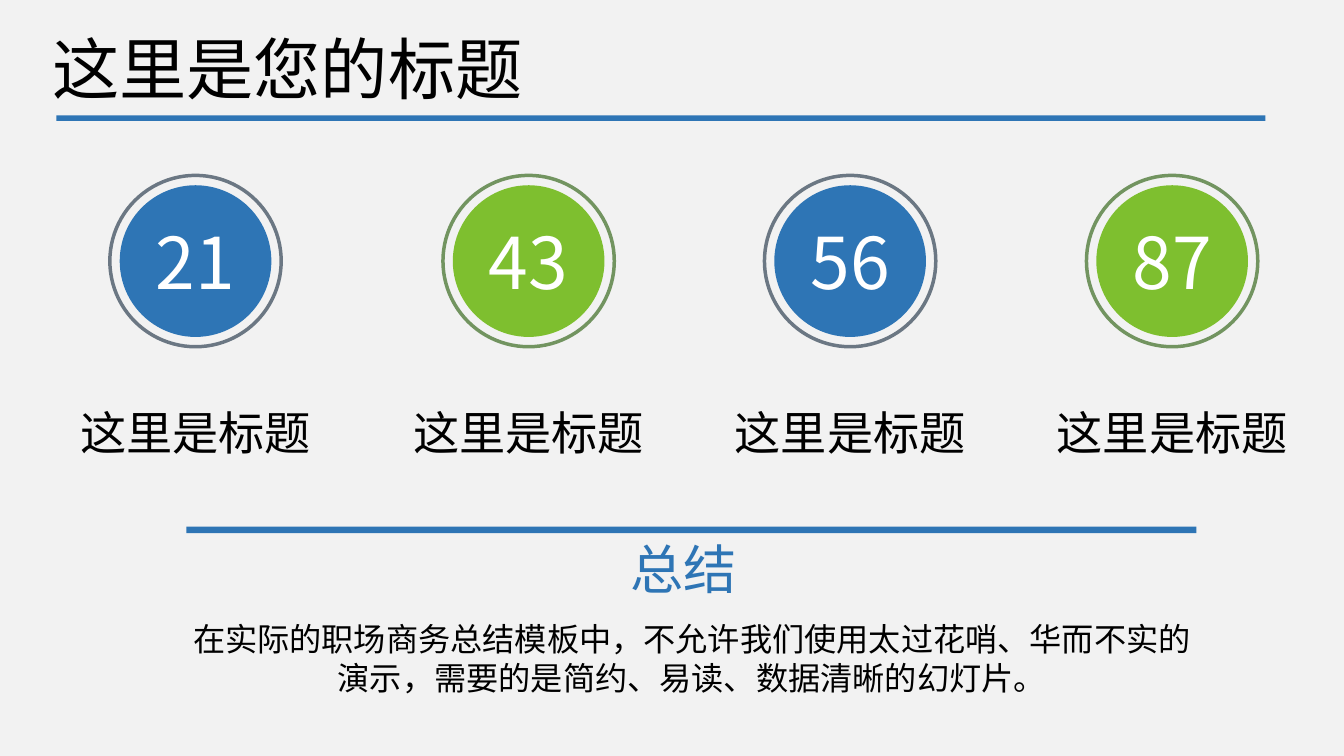
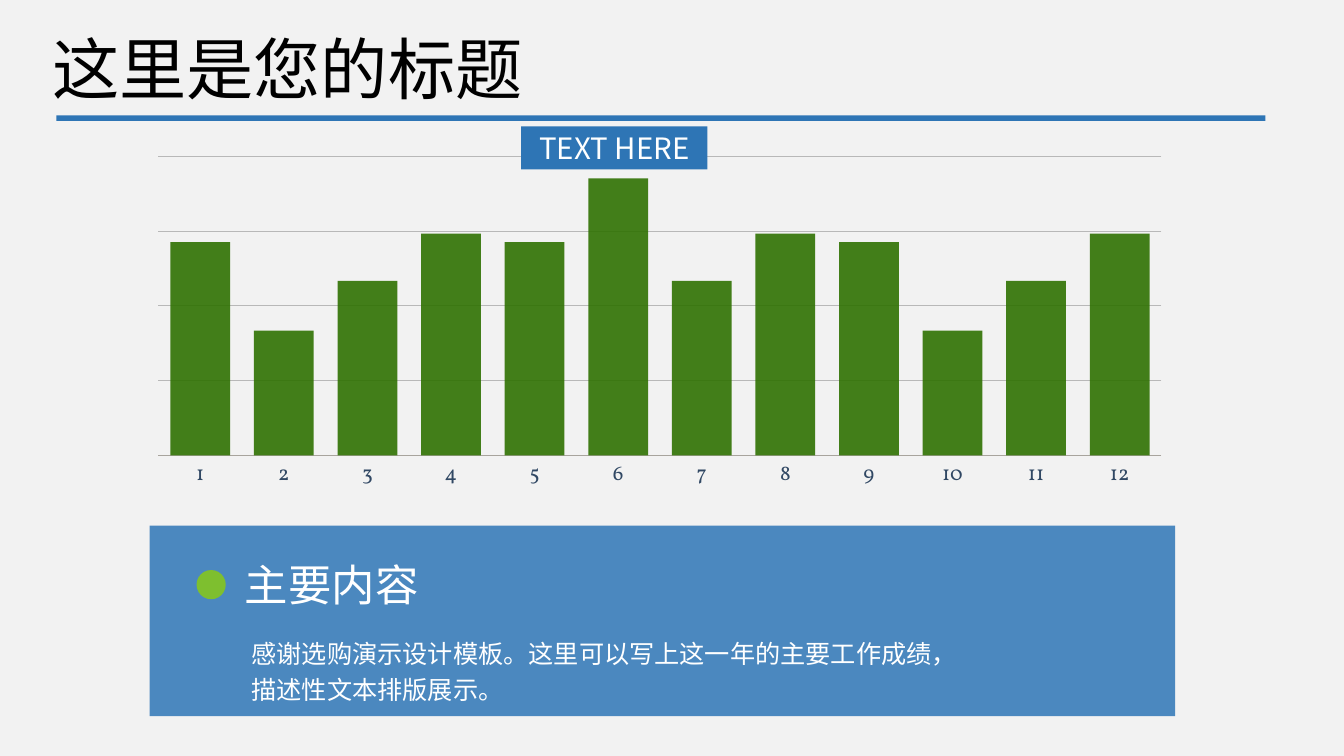
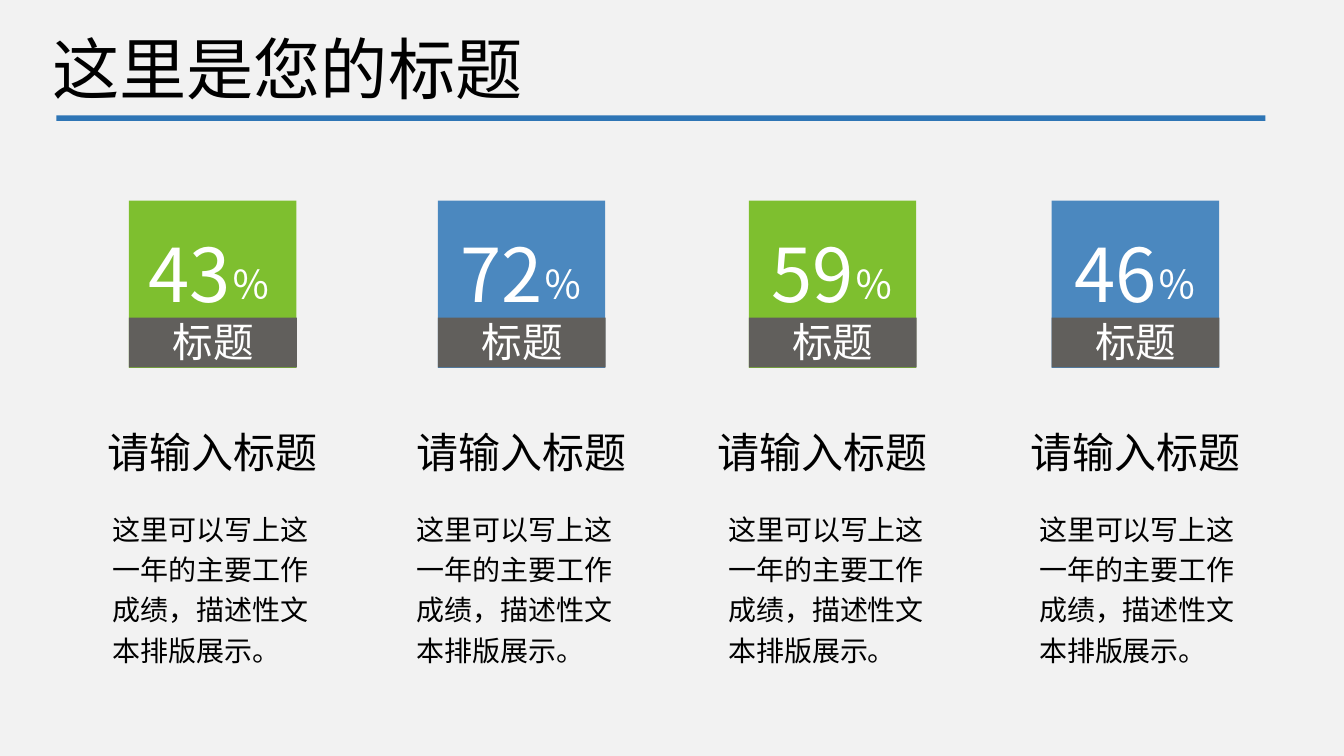
import pptx
import pptx.chart.data
import pptx.dml.color
import pptx.enum.chart
import pptx.enum.shapes
import pptx.enum.text
import pptx.oxml
import pptx.oxml.ns
import pptx.util
from lxml import etree

Inches = pptx.util.Inches
Pt = pptx.util.Pt
SHAPE = pptx.enum.shapes.MSO_SHAPE
ALIGN = pptx.enum.text.PP_ALIGN
qn = pptx.oxml.ns.qn


# Theme
class Theme:
    font, chart_font, axis_font = "Noto Sans CJK SC", "Lato", "Vollkorn"
    paper, ink, white = "F2F2F2", "000000", "FFFFFF"
    blue, soft_blue, green, gray = "2E75B5", "4B88BF", "7EBF2F", "615F5C"
    blue_ring, green_ring = "6B7783", "729460"
    bar, chart_text, axis_text = "2F7202", "324863", "314864"
    axis_line, grid_line = "A8A49D", "B8B8B8"
    title, percent, figure, summary = 96, 106, 102, 76
    caption, heading, entry, band, unit = 66, 62, 60, 58, 56
    note, tag, small_note, detail, axis, chart = 46, 42, 36, 40, 30, 10


# Content
TITLE = "这里是您的标题"

FIGURE_CAPTION = "这里是标题"
FIGURES = [  # number, centre, disc colour, ring colour
    ("21", 3.88, Theme.blue, Theme.blue_ring),
    ("43", 10.49, Theme.green, Theme.green_ring),
    ("56", 16.87, Theme.blue, Theme.blue_ring),
    ("87", 23.26, Theme.green, Theme.green_ring),
]
SUMMARY = "总结"
SUMMARY_NOTE = ("在实际的职场商务总结模板中，不允许我们使用太过花哨、华而不实的"
                "演示，需要的是简约、易读、数据清晰的幻灯片。")

MONTHLY = [77, 45, 63, 80, 77, 100, 63, 80, 77, 45, 63, 80]
PEAK_TAG = "TEXT HERE"
MAIN_HEADING = "主要内容"
MAIN_NOTE = "感谢选购演示设计模板。这里可以写上这一年的主要工作成绩，描述性文本排版展示。"

TILE_BAND = "标题"
TILE_HEADING = "请输入标题"
TILE_DETAIL = "这里可以写上这一年的主要工作成绩，描述性文本排版展示。"
TILES = [  # share, colour, then left edges of tile, number, heading, detail
    ("43", Theme.green, 2.56, 2.88, 2.06, 2.17),
    ("72", Theme.soft_blue, 8.69, 9.08, 8.19, 8.20),
    ("59", Theme.green, 14.86, 15.24, 14.16, 14.39),
    ("46", Theme.soft_blue, 20.87, 21.26, 20.37, 20.56),
]


# Helpers
def rgb(code):
    return pptx.dml.color.RGBColor.from_string(code)


def put_shape(slide, box, kind=SHAPE.RECTANGLE, fill=None, line=None, width=5):
    shape = slide.shapes.add_shape(kind, *map(Inches, box))
    shape.shadow.inherit = False
    if fill:
        shape.fill.solid()
        shape.fill.fore_color.rgb = rgb(fill)
    else:
        shape.fill.background()
    if line:
        shape.line.color.rgb = rgb(line)
        shape.line.width = Pt(width)
    else:
        shape.line.fill.background()
    return shape


def put_text(slide, text, box, size, color=Theme.ink, align=ALIGN.CENTER,
             wrap=False, spacing=None, inset=0.06, holder=None):
    if holder is None:
        holder = slide.shapes.add_textbox(*map(Inches, box))
    else:
        holder.left, holder.top, holder.width, holder.height = map(Inches, box)
    frame = holder.text_frame
    frame.word_wrap = wrap
    frame.auto_size = pptx.enum.text.MSO_AUTO_SIZE.SHAPE_TO_FIT_TEXT
    frame.vertical_anchor = pptx.enum.text.MSO_ANCHOR.MIDDLE
    frame.margin_left = frame.margin_right = Inches(inset)
    frame.margin_top = frame.margin_bottom = Inches(inset)
    paragraph = frame.paragraphs[0]
    paragraph.alignment = align
    if spacing:
        paragraph.line_spacing = spacing
    run = paragraph.add_run()
    run.text = text
    run.font.size = Pt(size)
    run.font.color.rgb = rgb(color)
    run.font.name = Theme.font
    east_asian = etree.SubElement(run.font._element, qn("a:ea"))
    east_asian.set("typeface", Theme.font)


def new_slide(prs):
    slide = prs.slides.add_slide(prs.slide_layouts[5])
    put_text(slide, TITLE, (0.97, 0.62, 9.46, 1.45), Theme.title,
             holder=slide.shapes.title)
    put_shape(slide, (1.12, 2.29, 23.99, 0.11), fill=Theme.blue)
    return slide


def style_axis(axis):
    axis.major_tick_mark = pptx.enum.chart.XL_TICK_MARK.NONE
    axis.minor_tick_mark = pptx.enum.chart.XL_TICK_MARK.NONE
    font = axis.tick_labels.font
    font.size, font.name = Pt(Theme.axis), Theme.axis_font
    font.color.rgb = rgb(Theme.axis_text)


def place_plot(chart, x, y, w, h):
    area = chart._chartSpace.find(".//" + qn("c:plotArea"))
    for old in area.findall(qn("c:layout")):
        area.remove(old)
    layout = etree.Element(qn("c:layout"))
    manual = etree.SubElement(layout, qn("c:manualLayout"))
    settings = [("layoutTarget", "inner"), ("xMode", "edge"), ("yMode", "edge"),
                ("x", x), ("y", y), ("w", w), ("h", h)]
    for tag, value in settings:
        etree.SubElement(manual, qn("c:" + tag)).set("val", str(value))
    area.insert(0, layout)


# Slide 1: four figures and a summary
def figures_slide(prs):
    slide = new_slide(prs)
    for number, centre, disc, ring in FIGURES:
        for size, look in ((3.01, {"fill": disc}), (3.4, {"line": ring})):
            put_shape(slide, (centre - size / 2, 5.18 - size / 2, size, size),
                      SHAPE.OVAL, **look)
        put_text(slide, number, (centre - 1, 4.41, 2, 1.53),
                 Theme.figure, color=Theme.white)
        put_text(slide, FIGURE_CAPTION, (centre - 2.47, 7.59, 4.94, 1.97),
                 Theme.caption)
    put_shape(slide, (3.7, 10.45, 20.04, 0.13), fill=Theme.blue)
    put_text(slide, SUMMARY, (12.45, 10.7, 2.24, 1.16), Theme.summary,
             color=Theme.blue)
    put_text(slide, SUMMARY_NOTE, (3.72, 12.36, 20.01, 1.4), Theme.note, wrap=True)


# Slide 2: monthly columns with a main point
def add_monthly_chart(slide):
    data = pptx.chart.data.CategoryChartData()
    data.categories = [str(month) for month in range(1, len(MONTHLY) + 1)]
    data.add_series("Series 1", MONTHLY)
    chart = slide.shapes.add_chart(
        pptx.enum.chart.XL_CHART_TYPE.COLUMN_CLUSTERED,
        *map(Inches, (2.84, 2.54, 20.31, 7.35)), data).chart
    chart.has_legend = chart.has_title = False
    chart.font.size, chart.font.name = Pt(Theme.chart), Theme.chart_font
    chart.font.color.rgb = rgb(Theme.chart_text)

    months, values = chart.category_axis, chart.value_axis
    style_axis(months)
    months.tick_label_position = pptx.enum.chart.XL_TICK_LABEL_POSITION.LOW
    months.format.line.color.rgb = rgb(Theme.axis_line)
    months.format.line.width = Pt(1)
    style_axis(values)
    values.tick_label_position = pptx.enum.chart.XL_TICK_LABEL_POSITION.NONE
    values.tick_labels.number_format = "0.#"
    values.tick_labels.number_format_is_linked = False
    values.minimum_scale, values.maximum_scale, values.major_unit = 0, 108, 27
    values.format.line.fill.background()
    values.has_major_gridlines = True
    values.major_gridlines.format.line.color.rgb = rgb(Theme.grid_line)
    values.major_gridlines.format.line.width = Pt(1)

    plot = chart.plots[0]
    plot.gap_width, plot.overlap, plot.vary_by_categories = 40, -10, False
    bars = plot.series[0].format
    bars.fill.solid()
    bars.fill.fore_color.rgb = rgb(Theme.bar)
    bars.line.fill.background()
    bar_color = plot.series[0]._element.find(".//" + qn("a:srgbClr"))
    etree.SubElement(bar_color, qn("a:alpha")).set("val", "90000")
    place_plot(chart, 0.015, 0.076, 0.98, 0.808)


def monthly_slide(prs):
    slide = new_slide(prs)
    add_monthly_chart(slide)
    tag_box = (10.34, 2.51, 3.7, 0.85)
    put_text(slide, PEAK_TAG, tag_box, Theme.tag, color=Theme.white, wrap=True,
             inset=0.13, holder=put_shape(slide, tag_box, fill=Theme.blue))
    put_shape(slide, (2.97, 10.43, 20.35, 3.78), fill=Theme.soft_blue)
    put_shape(slide, (3.9, 11.31, 0.58, 0.58), SHAPE.OVAL, fill=Theme.green)
    put_text(slide, MAIN_HEADING, (4.8, 11.11, 3.57, 0.97), Theme.heading,
             color=Theme.white)
    put_text(slide, MAIN_NOTE, (4.93, 12.48, 14.28, 1.57), Theme.small_note,
             color=Theme.white, align=ALIGN.LEFT, wrap=True, spacing=1.2)


# Slide 3: four percentage tiles
def tiles_slide(prs):
    slide = new_slide(prs)
    for share, color, tile, number, heading, detail in TILES:
        put_shape(slide, (tile, 3.98, 3.32, 3.32), fill=color)
        put_shape(slide, (tile, 6.3, 3.33, 0.99), fill=Theme.gray)
        put_text(slide, share, (number, 4.63, 1.76, 1.58), Theme.percent,
                 color=Theme.white)
        put_text(slide, "％", (number + 1.65, 5.19, 0.9, 0.89), Theme.unit,
                 color=Theme.white)
        put_text(slide, TILE_BAND, (tile + 0.7, 5.9, 1.94, 1.75), Theme.band,
                 color=Theme.white)
        put_text(slide, TILE_HEADING, (heading, 8.41, 4.32, 1.12), Theme.entry)
        put_text(slide, TILE_DETAIL, (detail, 9.96, 4.44, 3.34), Theme.detail,
                 align=ALIGN.LEFT, wrap=True, spacing=1.2)


def main():
    prs = pptx.Presentation()
    prs.slide_width, prs.slide_height = Inches(26.67), Inches(15)
    backdrop = prs.slide_master.background.fill
    backdrop.solid()
    backdrop.fore_color.rgb = rgb(Theme.paper)
    figures_slide(prs)
    monthly_slide(prs)
    tiles_slide(prs)
    prs.save("out.pptx")


if __name__ == "__main__":
    main()
